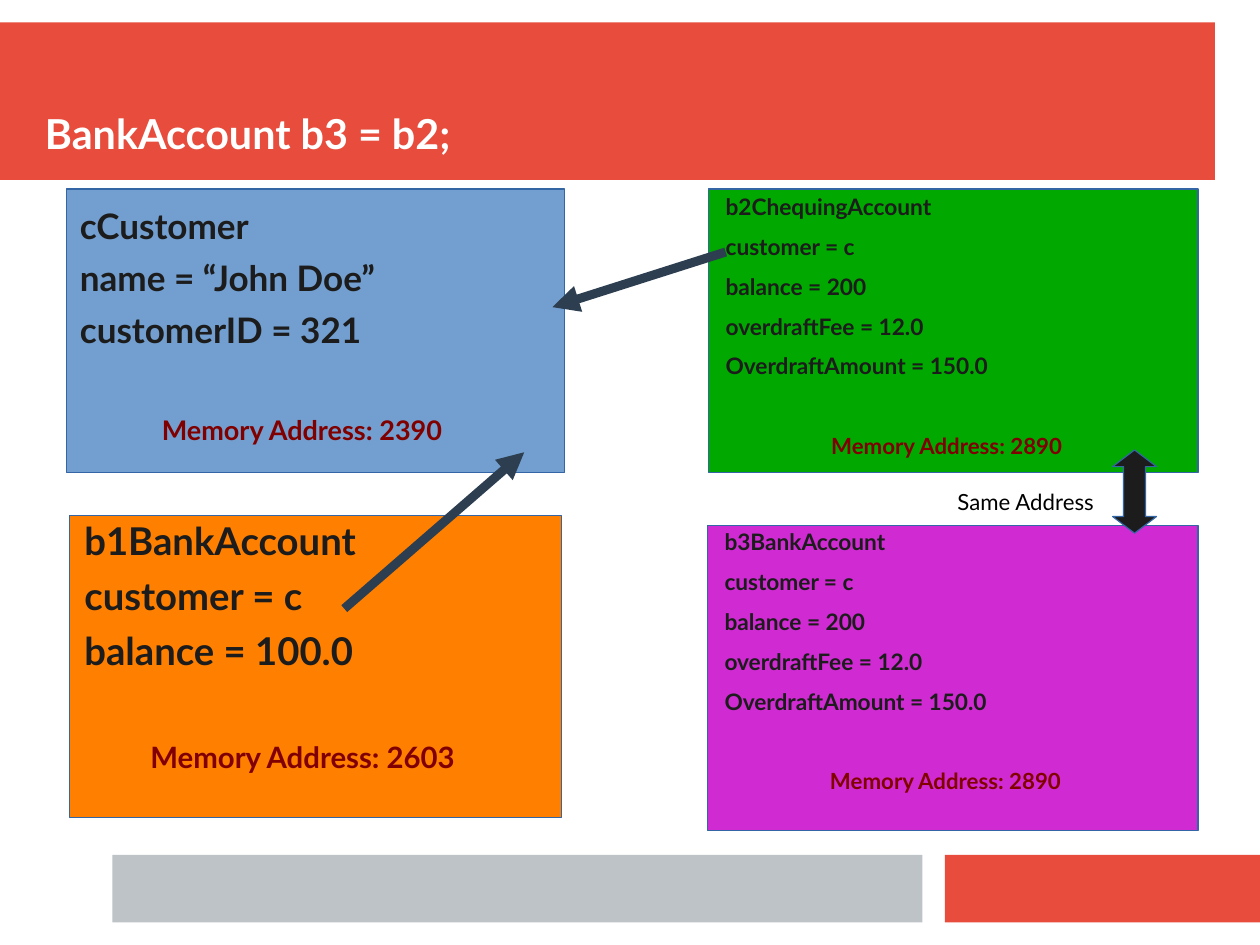
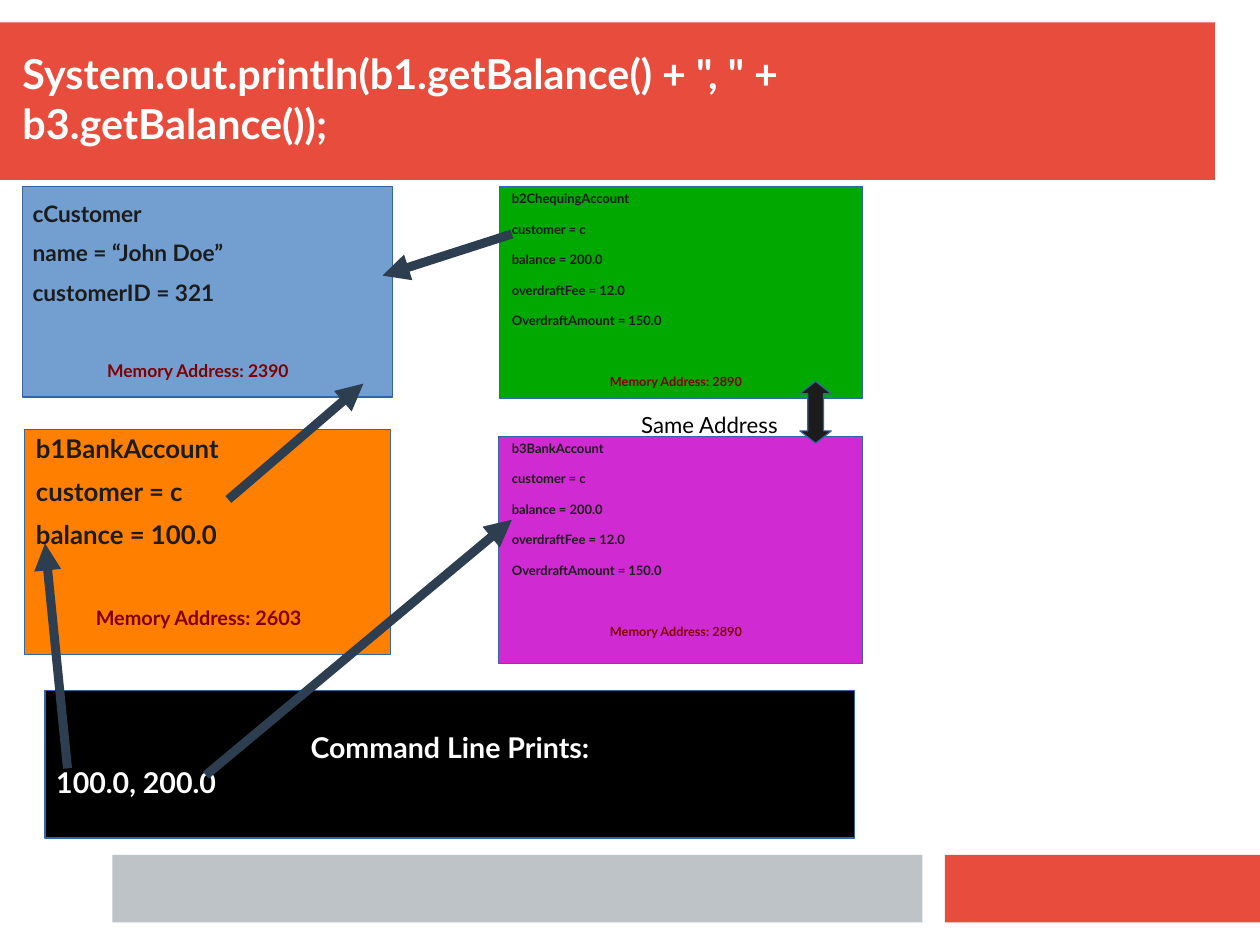
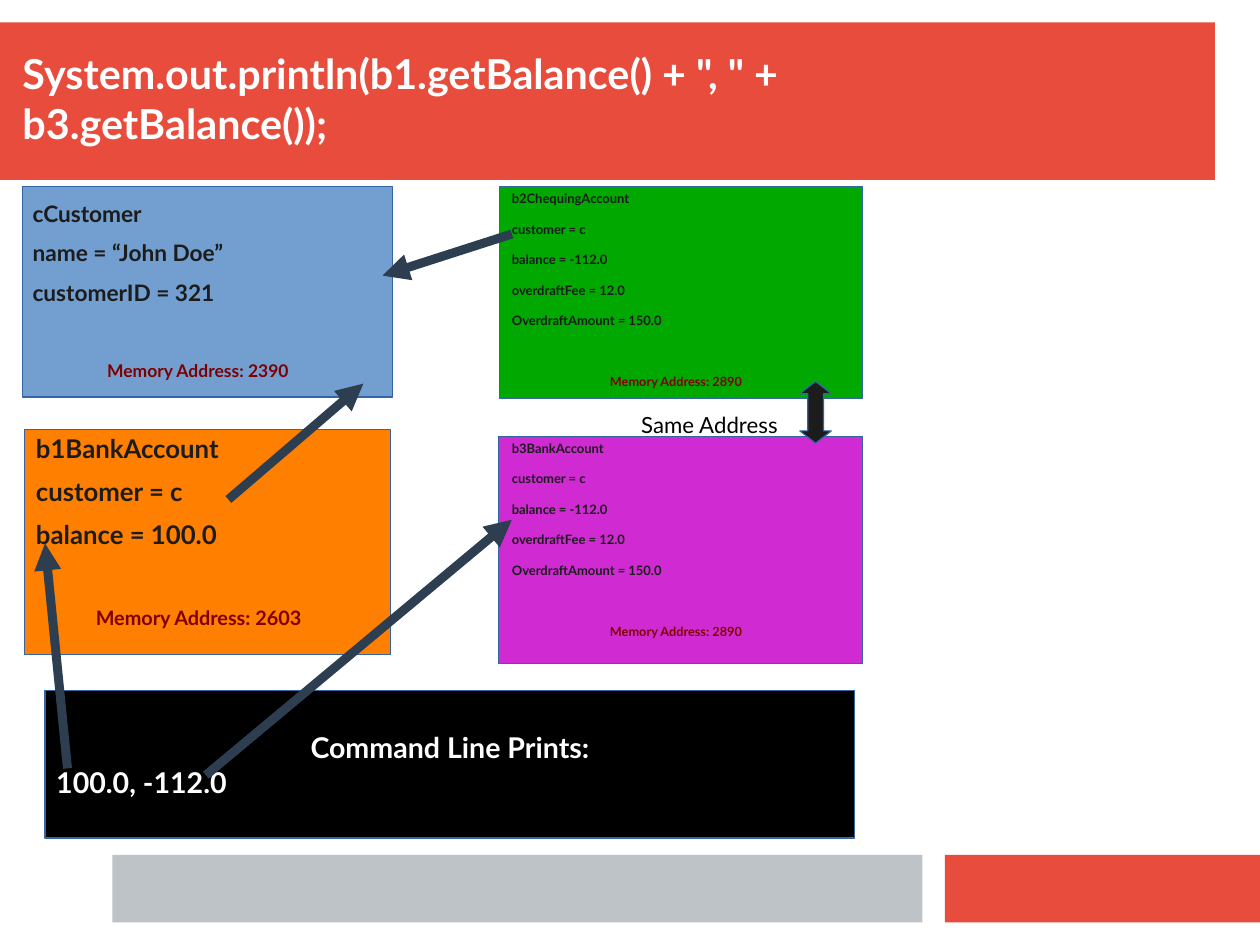
from dataclasses import dataclass

from lxml.etree import SubElement
from pptx import Presentation
from pptx.dml.color import RGBColor
from pptx.enum.shapes import MSO_CONNECTOR, MSO_SHAPE
from pptx.enum.text import MSO_ANCHOR, PP_ALIGN
from pptx.oxml.ns import qn
from pptx.util import Emu, Pt

PX = 9000


@dataclass(frozen=True)
class Theme:
    """Colours, font and type sizes."""
    font: str = "Lato"
    red: str = "E74C3C"
    gray: str = "BDC3C7"
    blue: str = "729FCF"
    green: str = "00A800"
    orange: str = "FF7F00"
    purple: str = "D02BD2"
    ink: str = "1C1C1C"
    maroon: str = "800000"
    navy: str = "2C3E50"
    outline: str = "3465A4"
    black: str = "000000"
    white: str = "FFFFFF"
    title: float = 26
    console: float = 18
    note: float = 14
    spacing: float = 0.8
    after: float = 11.4
    border: float = 0.75
    arrow: float = 5.67


def px(*values):
    """Turn pixel lengths into EMU."""
    return [Emu(v * PX) for v in values]


def put(obj, **values):
    """Set every given attribute on an object."""
    for name, value in values.items():
        setattr(obj, name, value)


class Deck:
    """Holds the style and the current slide."""

    def __init__(self, theme):
        """Start a presentation with an empty blank layout."""
        self.t = theme
        self.prs = Presentation()
        self.prs.slide_width, self.prs.slide_height = px(1120, 840)
        self.layout = self.prs.slide_layouts[6]
        for ph in list(self.layout.placeholders):
            ph.element.getparent().remove(ph.element)
        self.s = None

    def slide(self, title, rect):
        """Add a slide with its title; the first one also sets up the bands."""
        first = self.s is None
        self.s = self.prs.slides.add_slide(self.layout)
        if first:
            self.bands()
        tf = self.text_box(rect, MSO_ANCHOR.BOTTOM)
        self.line(tf, title, self.t.title, self.t.white, bold=True)

    def bands(self):
        """Draw the header and footer bands and move them to the layout."""
        t = self.t
        for rect, fill in (((0, 20, 1080, 140), t.red),
                           ((840, 760, 280, 60), t.red),
                           ((100, 760, 720, 60), t.gray)):
            sp = self.rect(rect, fill, outlined=False)
            self.layout.shapes.element.append(sp.element)

    def paint(self, sp, fill, outlined=True):
        """Give a shape a flat fill and an optional outline."""
        sp.shadow.inherit = False
        sp.fill.solid()
        sp.fill.fore_color.rgb = RGBColor.from_string(fill)
        if outlined:
            sp.line.color.rgb = RGBColor.from_string(self.t.outline)
            sp.line.width = Pt(self.t.border)
        else:
            sp.line.fill.background()
        return sp

    def rect(self, rect, fill, outlined=True):
        """Add a flat rectangle."""
        sp = self.s.shapes.add_shape(MSO_SHAPE.RECTANGLE, *px(*rect))
        return self.paint(sp, fill, outlined)

    def frame(self, sp, anchor, inset):
        """Format the text frame of a shape."""
        side, edge = px(*inset)
        put(sp.text_frame, word_wrap=True, vertical_anchor=anchor,
            margin_left=side, margin_right=side,
            margin_top=edge, margin_bottom=edge)
        return sp.text_frame

    def text_box(self, rect, anchor=MSO_ANCHOR.TOP, inset=(0, 0)):
        """Add an empty wrapping text box."""
        return self.frame(self.s.shapes.add_textbox(*px(*rect)), anchor, inset)

    def line(self, tf, text, size, color, bold=False, align=PP_ALIGN.LEFT, **spacing):
        """Add one paragraph of text."""
        p = tf.paragraphs[0]
        if p.runs:
            p = tf.add_paragraph()
        put(p, alignment=align, **spacing)
        r = p.add_run()
        r.text = text
        put(r.font, name=self.t.font, size=Pt(size), bold=bold)
        r.font.color.rgb = RGBColor.from_string(color)

    def card(self, rect, text_rect, fill, lines, address, size, small):
        """Add an object card with its fields and memory address."""
        t = self.t
        self.rect(rect, fill)
        tf = self.text_box(text_rect)
        spacing = {"line_spacing": t.spacing, "space_after": Pt(t.after)}
        for text in lines:
            self.line(tf, text, size, t.ink, bold=True, **spacing)
        gap = Pt(1.2 * t.spacing * size + t.after)
        self.line(tf, f"Memory Address: {address}", small, t.maroon, bold=True,
                  align=PP_ALIGN.CENTER, space_before=gap, **spacing)

    def arrow(self, start, end):
        """Add a thick arrow between two points."""
        c = self.s.shapes.add_connector(MSO_CONNECTOR.STRAIGHT, *px(*start, *end))
        c.line.color.rgb = RGBColor.from_string(self.t.navy)
        c.line.width = Pt(self.t.arrow)
        SubElement(c.line._get_or_add_ln(), qn("a:tailEnd"), type="triangle")
        SubElement(c.element.spPr, qn("a:effectLst"))

    def double_arrow(self, rect):
        """Add an upright arrow with a head at each end."""
        x, y, w, h = px(*rect)
        shares = ((0, 0.2), (0.5, 0), (1, 0.2), (0.75, 0.2), (0.75, 0.8),
                  (1, 0.8), (0.5, 1), (0, 0.8), (0.25, 0.8), (0.25, 0.2))
        points = [(round(x + w * u), round(y + h * v)) for u, v in shares]
        outline = self.s.shapes.build_freeform(*points[0])
        outline.add_line_segments(points[1:], close=True)
        self.paint(outline.convert_to_shape(), self.t.ink)

    def same_address(self, arrow_rect, note_rect):
        """Add the double arrow and its note."""
        t = self.t
        self.double_arrow(arrow_rect)
        tf = self.text_box(note_rect, inset=(10, 5))
        self.line(tf, "Same Address", t.note, t.black)

    def console(self, rect, output):
        """Add the command line box."""
        t = self.t
        tf = self.frame(self.rect(rect, t.black), MSO_ANCHOR.MIDDLE, (10, 5))
        for text, align in (("Command Line Prints:", PP_ALIGN.CENTER),
                            (output, PP_ALIGN.LEFT)):
            self.line(tf, text, t.console, t.white, bold=True, align=align)

    def memory(self, geometry, balance):
        """Draw the four objects and their references."""
        t = self.t
        customer = ["cCustomer", "name = “John Doe”", "customerID = 321"]
        basic = ["b1BankAccount", "customer = c", "balance = 100.0"]
        shared = ["customer = c", f"balance = {balance}",
                  "overdraftFee = 12.0", "OverdraftAmount = 150.0"]
        contents = ((t.green, ["b2ChequingAccount", *shared], 2890),
                    (t.blue, customer, 2390),
                    (t.orange, basic, 2603),
                    (t.purple, ["b3BankAccount", *shared], 2890))
        for (rect, text_rect, *sizes), content in zip(geometry["cards"], contents):
            self.card(rect, text_rect, *content, *sizes)
        for ends in geometry["arrows"]:
            self.arrow(*ends)
        self.same_address(*geometry["same"])


LARGE = {
    "cards": (((630, 168, 435, 252), (645, 176, 393, 245), 14.3, 14),
              ((59, 168, 443, 252), (71, 189, 395, 213), 22.1, 17),
              ((62, 458, 437, 269), (75, 468, 388, 232), 24.1, 18.5),
              ((629, 467, 436, 271), (644, 474, 393, 245), 14.3, 14)),
    "arrows": (((306, 541), (466, 402)), ((645, 224), (491, 273))),
    "same": ((989, 400, 39, 74), (841, 429, 180, 57)),
}
SMALL = {
    "cards": (((444, 166, 323, 188), (455, 172, 292, 182), 8.2, 8),
              ((20, 166, 329, 187), (29, 182, 294, 158), 14.3, 11),
              ((22, 382, 325, 200), (32, 390, 289, 172), 16.2, 12.5),
              ((443, 388, 324, 202), (455, 394, 292, 182), 8.2, 8)),
    "arrows": (((203, 444), (323, 341)), ((455, 208), (340, 245))),
    "same": ((711, 339, 28, 55), (560, 361, 176, 57)),
}
PRINT_ARROWS = (((60, 683), (40, 483)), ((183, 689), (455, 462)))


def main():
    """Build the three slides."""
    deck = Deck(Theme())
    deck.slide("BankAccount b3 = b2;", (40, 40, 1040, 100))
    deck.memory(LARGE, "200")
    for balance in ("200.0", "-112.0"):
        deck.slide('System.out.println(b1.getBalance() + ", " + b3.getBalance());',
                   (20, 57, 912, 74))
        deck.memory(SMALL, balance)
        deck.console((40, 614, 720, 131), f"100.0, {balance}")
        for ends in PRINT_ARROWS:
            deck.arrow(*ends)
    deck.prs.save("out.pptx")


if __name__ == "__main__":
    main()
